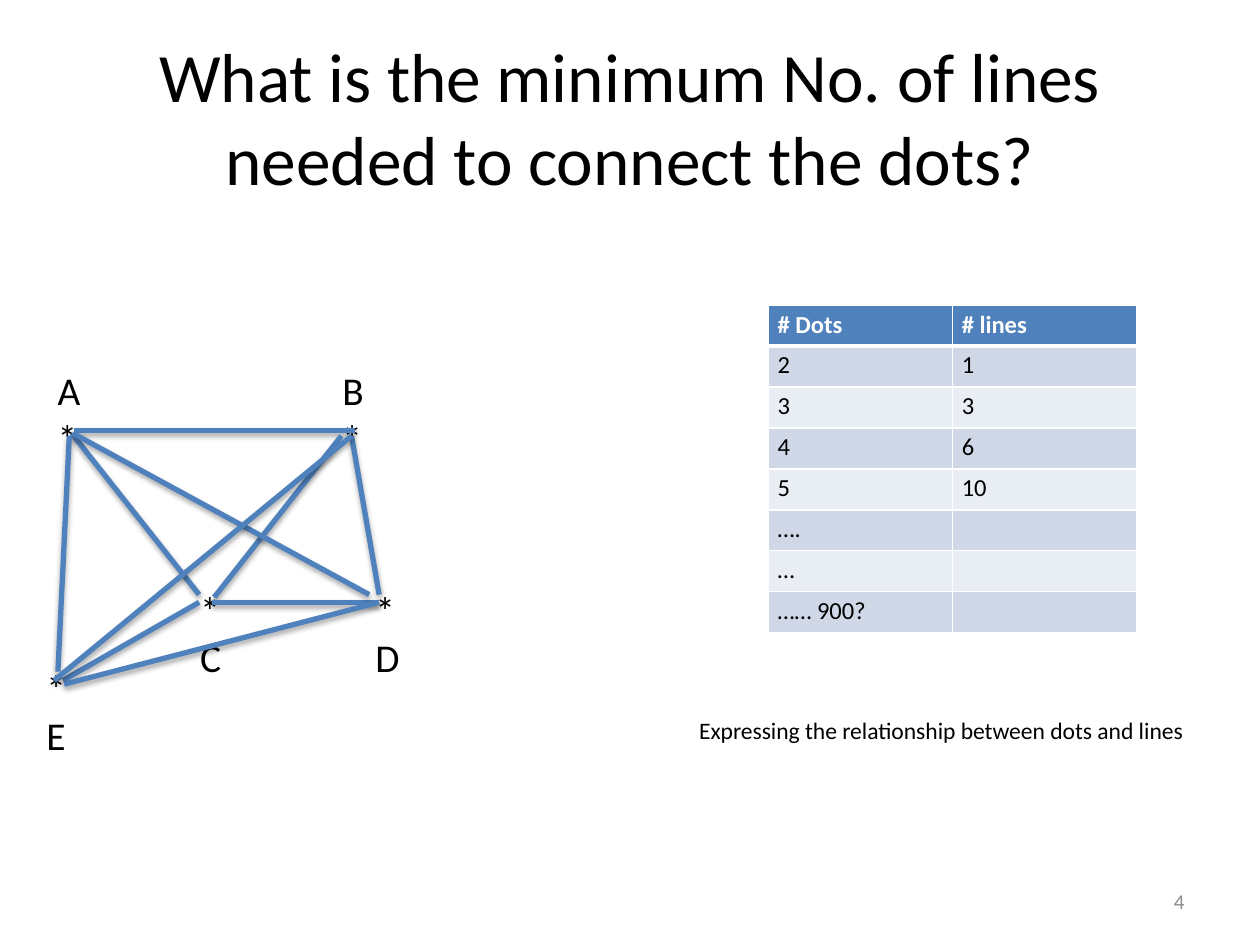
from pptx import Presentation
from pptx.util import Pt
from pptx.dml.color import RGBColor as RGB
from pptx.enum.shapes import MSO_CONNECTOR as Conn
from pptx.enum.text import MSO_ANCHOR as Anchor, MSO_AUTO_SIZE as Auto, PP_ALIGN as Align
from pptx.oxml import parse_xml
from pptx.oxml.ns import nsdecls, qn
from lxml.etree import SubElement as Sub

BLACK = RGB(0x00, 0x00, 0x00)
WHITE = RGB(0xFF, 0xFF, 0xFF)
BLUE = RGB(0x4F, 0x81, 0xBD)
DARK = RGB(0xD0, 0xD8, 0xE8)
LIGHT = RGB(0xE9, 0xED, 0xF4)
GRAY = RGB(0x8C, 0x8C, 0x8C)
SHADOW = (
    f'<a:effectLst {nsdecls("a")}><a:outerShdw blurRad="{Pt(3.1)}" dist="{Pt(1.8)}" '
    'dir="5400000" rotWithShape="0"><a:srgbClr val="000000"><a:alpha val="35000"/>'
    '</a:srgbClr></a:outerShdw></a:effectLst>'
)


def style(frame, size, color, align=Align.LEFT, bold=False):
    for para in frame.paragraphs:
        para.alignment = align
        for run in para.runs:
            font = run.font
            font.name, font.size, font.bold = "Calibri", Pt(size), bold
            font.color.rgb = color


def label(text, x, y, w, h, size, color=BLACK, align=Align.LEFT):
    frame = slide.shapes.add_textbox(Pt(x), Pt(y), Pt(w), Pt(h)).text_frame
    frame.word_wrap = True
    frame.text = text
    style(frame, size, color, align)
    return frame


prs = Presentation()
prs.slide_width, prs.slide_height = Pt(720), Pt(540)
slide = prs.slides.add_slide(prs.slide_layouts[5])

title = slide.shapes.title
title.left, title.top, title.width, title.height = Pt(36), Pt(21.6), Pt(648), Pt(90)
frame = title.text_frame
frame.text = "What is the minimum No. of lines needed to connect the dots?"
frame.word_wrap = True
frame.auto_size = Auto.NONE
frame.vertical_anchor = Anchor.MIDDLE
style(frame, 39.6, BLACK, Align.CENTER)

rows = [
    ("# Dots", "# lines"), ("2", "1"), ("3", "3"), ("4", "6"),
    ("5", "10"), ("….", ""), ("…", ""), ("…… 900?", ""),
]
table = slide.shapes.add_table(len(rows), 2, Pt(439.2), Pt(174.4), Pt(210.4), Pt(187.2)).table
for col in table.columns:
    col.width = Pt(105.2)
for r, row in enumerate(rows):
    table.rows[r].height = Pt(23.4)
    for c, text in enumerate(row):
        cell = table.cell(r, c)
        cell.text = text
        cell.margin_left = cell.margin_right = Pt(5.2)
        cell.margin_top = cell.margin_bottom = Pt(2.6)
        style(cell.text_frame, 14, BLACK if r else WHITE, bold=r == 0)
        Sub(cell.text_frame.paragraphs[0]._p, qn("a:endParaRPr"), sz="1400")
        props = cell._tc.get_or_add_tcPr()
        for side in "LRTB":
            thick = (r, side) in ((0, "B"), (1, "T"))
            edge = Sub(props, qn(f"a:ln{side}"), w=str(Pt(3 if thick else 1)))
            fill = Sub(edge, qn("a:solidFill"))
            Sub(fill, qn("a:srgbClr"), val=str(WHITE))
        cell.fill.solid()
        cell.fill.fore_color.rgb = BLUE if r == 0 else DARK if r % 2 else LIGHT

dots = [
    ("A\n*", 25.9, 205.9, 31), ("B\n*", 188.6, 205.9, 31), ("*\nC", 107.3, 331.2, 32),
    ("*\nD", 207.4, 331.2, 34), ("*\nE", 19.4, 375.8, 31),
]
for text, x, y, w in dots:
    label(text, x, y, w, 62, 22.5)

lines = [
    (42.5, 246.2, 203, 246.2),
    (41, 247.7, 113.8, 339.8),
    (122.4, 341.3, 195.1, 249.1),
    (216.7, 339.8, 200.9, 249.1),
    (121, 344.2, 216.7, 344.2),
    (211, 339.8, 41.8, 247.7),
    (39.6, 249.1, 33.1, 383.8),
    (36, 388.8, 113.8, 344.2),
    (36.7, 391, 216.7, 344.2),
    (31, 388.8, 200.9, 249.1),
]
for ends in lines:
    link = slide.shapes.add_connector(Conn.STRAIGHT, *map(Pt, ends))
    link.line.color.rgb = BLUE
    link.line.width = Pt(3)
    link._element.spPr.append(parse_xml(SHADOW))

label("Expressing the relationship between dots and lines", 392.4, 405.4, 296, 23.8, 13.5)
number = label("4", 516.2, 500.4, 167.8, 28.8, 12, GRAY, Align.RIGHT)
number.vertical_anchor = Anchor.MIDDLE

prs.save("out.pptx")
